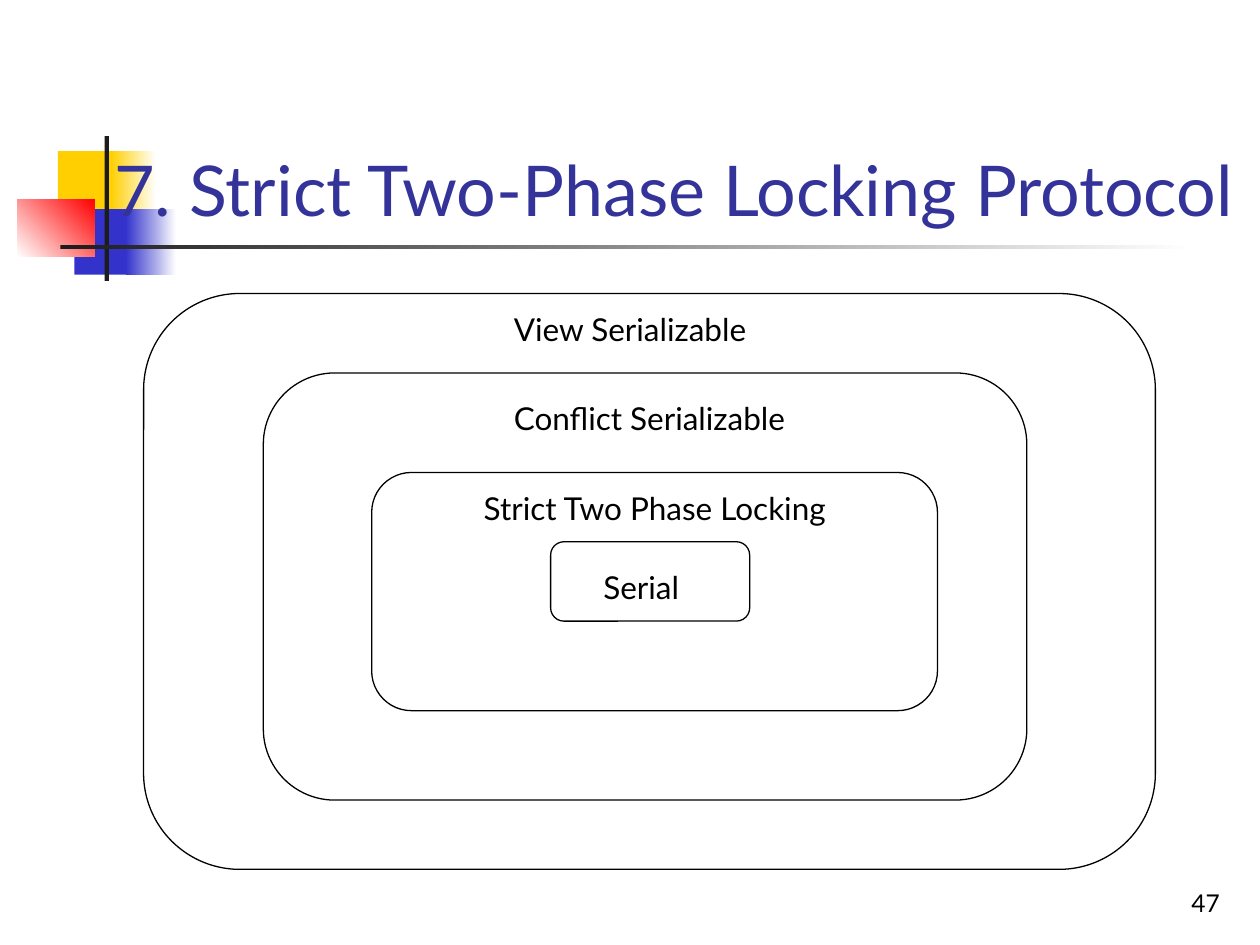
from pptx import Presentation
from pptx.dml.color import RGBColor
from pptx.enum.shapes import MSO_SHAPE
from pptx.enum.text import MSO_ANCHOR, PP_ALIGN
from pptx.util import Inches, Pt


def paint(code):
    return RGBColor.from_string(code)


class Board:
    """Style and current slide; lengths are in cells of a 100 x 75 grid."""
    font = "Lato"
    ink = "000000"
    cols, rows = 100, 75

    def __init__(self, deck):
        self.cell_w = deck.slide_width / self.cols
        self.cell_h = deck.slide_height / self.rows
        self.slide = deck.slides.add_slide(deck.slide_layouts[6])

    def place(self, x, y, w, h):
        return (round(x * self.cell_w), round(y * self.cell_h),
                round(w * self.cell_w), round(h * self.cell_h))

    def shape(self, kind, area):
        item = self.slide.shapes.add_shape(kind, *self.place(*area))
        item.shadow.inherit = False
        return item

    def block(self, area, start, end=None, angle=0):
        """Borderless rectangle, plain or fading from start to end."""
        item = self.shape(MSO_SHAPE.RECTANGLE, area)
        item.line.fill.background()
        if end is None:
            item.fill.solid()
            item.fill.fore_color.rgb = paint(start)
        else:
            item.fill.gradient()
            item.fill.gradient_angle = angle
            for stop, code in zip(item.fill.gradient_stops, (start, end)):
                stop.color.rgb = paint(code)

    def ring(self, area):
        """Rounded outline of one set."""
        item = self.shape(MSO_SHAPE.ROUNDED_RECTANGLE, area)
        item.adjustments[0] = 0.167
        item.fill.background()
        item.line.color.rgb = paint(self.ink)
        item.line.width = Pt(0.75)

    def text(self, words, area, size=18, color=ink,
             align=PP_ALIGN.LEFT, anchor=MSO_ANCHOR.TOP):
        frame = self.slide.shapes.add_textbox(*self.place(*area)).text_frame
        frame.word_wrap = True
        frame.vertical_anchor = anchor
        para = frame.paragraphs[0]
        para.alignment = align
        run = para.add_run()
        run.text = words
        run.font.name = self.font
        run.font.size = Pt(size)
        run.font.color.rgb = paint(color)


def main():
    deck = Presentation()
    deck.slide_width, deck.slide_height = Inches(10), Inches(7.5)
    board = Board(deck)

    # Corner ornament: yellow, blue and red blocks, then the crossed bars
    gold, blue, red, dark, white = (
        "FFCF01", "3333CC", "FF0000", "1C1C1C", "FFFFFF")
    board.block((4.6, 12, 4.8, 5.2), gold)
    board.block((8.8, 12, 3.6, 5.2), gold, white)
    board.block((5.9, 16.6, 4.6, 5.2), blue)
    board.block((10, 16.6, 4, 5.2), blue, white)
    board.block((1.4, 15.8, 6.1, 4.6), white, red, angle=45)
    board.block((8.3, 10.8, 0.35, 11.5), dark)
    board.block((4.8, 19.45, 90, 0.35), dark, white)

    # Title and page number
    board.text("7. Strict Two-Phase Locking Protocol", (8.1, 2.8, 91.9, 16),
               size=40, color="333399", anchor=MSO_ANCHOR.BOTTOM)
    board.text("47", (77, 68.3, 20.8, 5), size=14,
               align=PP_ALIGN.RIGHT, anchor=MSO_ANCHOR.BOTTOM)

    # Nested sets, outermost first: label, outline, label area
    sets = [
        ("View Serializable",
         (11.4, 23.3, 80.3, 45.7), (39.8, 24.1, 23.6, 4)),
        ("Conflict Serializable",
         (20.9, 29.6, 60.6, 33.9), (39.8, 31.2, 23.6, 4)),
        ("Strict Two Phase Locking",
         (29.5, 37.5, 44.9, 18.9), (37.4, 38.3, 31.5, 4)),
        ("Serial",
         (43.7, 43, 15.8, 6.3), (46.9, 44.6, 9.4, 4)),
    ]
    for label, outline, area in sets:
        board.ring(outline)
        board.text(label, area)

    deck.save("out.pptx")


if __name__ == "__main__":
    main()
